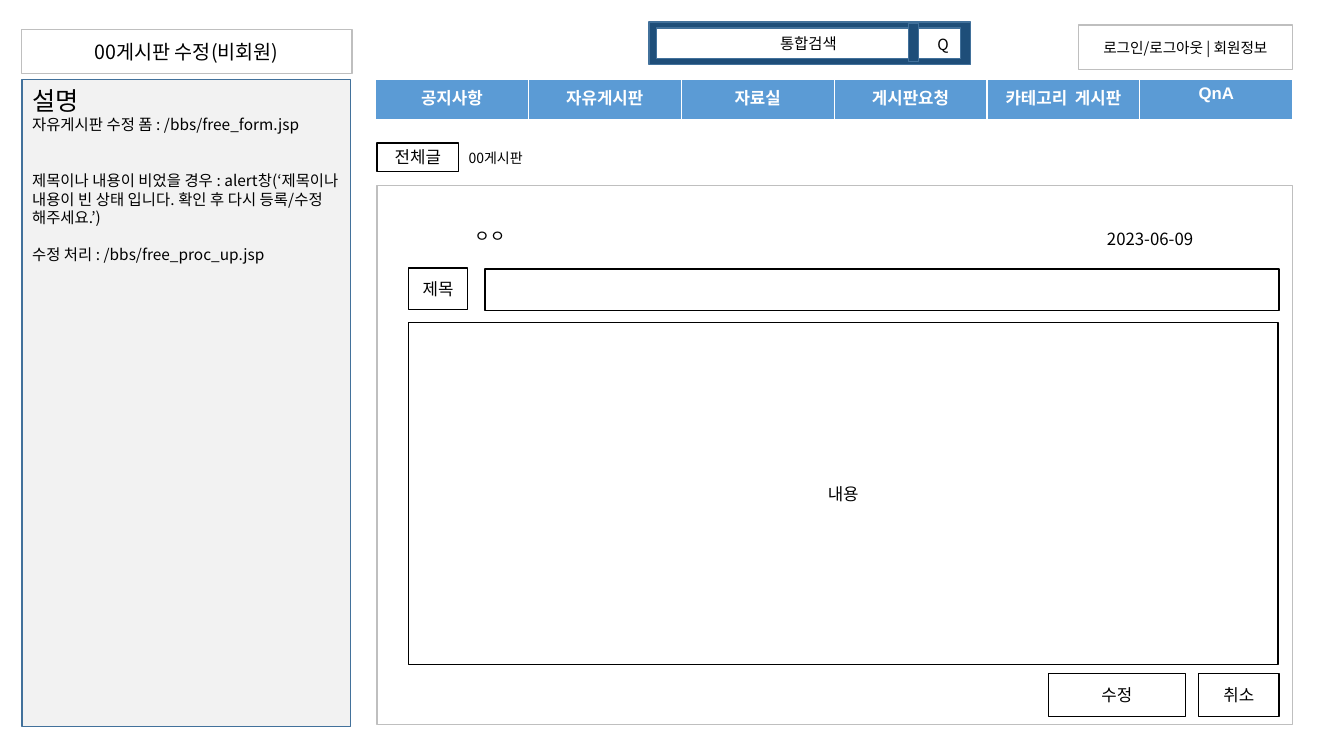
from dataclasses import dataclass
from typing import NamedTuple

from lxml import etree
from pptx import Presentation
from pptx import util as u
from pptx.dml import color
from pptx.enum import shapes, text
from pptx.oxml import ns


@dataclass(frozen=True)
class Theme:
    white: str = "FFFFFF"
    black: str = "000000"
    gray: str = "BFBFBF"
    pale: str = "F2F2F2"
    navy: str = "1E4E79"
    steel: str = "42719B"
    sky: str = "5B9BD5"
    font: str = "Noto Sans CJK KR"
    nav_font: str = "Arial"
    heading: float = 18
    title: float = 14
    body: float = 12
    note: float = 11
    login: float = 10.5
    caption: float = 10
    line_height: float = 1.21


class Area(NamedTuple):
    left: float
    top: float
    width: float
    height: float


@dataclass(frozen=True)
class Box:
    area: Area
    label: str = ""
    size: float = 12
    fill: str | None = "FFFFFF"
    line: str | None = "000000"
    align: text.PP_ALIGN = text.PP_ALIGN.CENTER


class Note(NamedTuple):
    words: str
    size: float
    blank_lines: int = 0


THEME = Theme()
SLIDE_WIDTH = u.Inches(13.33)
SLIDE_HEIGHT = u.Inches(7.5)

TITLE = Box(Area(1.58, 3.87, 24.6, 5.87), "00게시판 수정(비회원)", THEME.title, line=THEME.gray)
NOTES_PANEL = Box(Area(1.65, 10.53, 24.45, 85.6), fill=THEME.pale, line=THEME.steel)
NAVIGATION = Area(27.94, 10.53, 68.25, 5.47)
MENU = ("공지사항", "자유게시판", "자료실", "게시판요청", "카테고리  게시판", "QnA")

NOTES = (
    Note("설명", THEME.heading),
    Note("자유게시판 수정 폼 : /bbs/free_form.jsp", THEME.note),
    Note(
        "제목이나 내용이 비었을 경우 : alert창(‘제목이나 내용이 빈 상태 입니다. "
        "확인 후 다시 등록/수정 해주세요.’)",
        THEME.note,
        2,
    ),
    Note("수정 처리 : /bbs/free_proc_up.jsp", THEME.note, 1),
)

BOXES = (
    Box(Area(80.25, 3.33, 15.9, 5.87), "로그인/로그아웃 | 회원정보", THEME.login, line=THEME.gray),
    Box(Area(48.3, 2.93, 23.92, 5.6), fill=THEME.navy, line=THEME.steel),
    Box(Area(48.83, 3.73, 22.65, 4), "통합검색", THEME.note, line=THEME.steel),
    Box(Area(67.58, 3.07, 0.75, 5.07), fill=THEME.navy, line=THEME.steel),
    Box(Area(68.03, 3.07, 4.3, 5.6), "Q", THEME.note, fill=None, line=None),
    Box(Area(28.05, 24.53, 68.1, 71.33), line=THEME.gray),
    Box(Area(78, 89.07, 10.2, 5.73), "수정"),
    Box(Area(89.18, 89.07, 6, 5.73), "취소"),
    Box(Area(30.38, 35.47, 4.43, 5.47), "제목"),
    Box(Area(36.08, 35.6, 59.1, 5.47)),
    Box(Area(30.38, 42.67, 64.73, 45.2), "내용"),
    Box(Area(28.05, 18.93, 6.08, 3.73), "전체글"),
    Box(Area(30.53, 28.4, 11.85, 5.47), "ㅇㅇ", line=None),
    Box(Area(76.2, 28.8, 18.75, 5.47), "2023-06-09", line=None),
    Box(Area(34.13, 19.07, 8.55, 3.6), "00게시판", THEME.caption, None, None, text.PP_ALIGN.LEFT),
)


def rgb(value: str) -> color.RGBColor:
    return color.RGBColor.from_string(value)


def place(area: Area) -> tuple[int, int, int, int]:
    return (
        int(SLIDE_WIDTH * area.left / 100),
        int(SLIDE_HEIGHT * area.top / 100),
        int(SLIDE_WIDTH * area.width / 100),
        int(SLIDE_HEIGHT * area.height / 100),
    )


def write(paragraph, words: str, *, size: float, align=text.PP_ALIGN.CENTER,
          ink: str = THEME.black, bold: bool = False, font: str = THEME.font) -> None:
    paragraph.alignment = align
    run = paragraph.add_run()
    run.text = words
    run.font.size = u.Pt(size)
    run.font.bold = bold
    run.font.name = font
    run.font.color.rgb = rgb(ink)
    east_asian = etree.SubElement(run.font._element, ns.qn("a:ea"))
    east_asian.set("typeface", THEME.font)


def dress(shape, box: Box) -> None:
    if box.fill:
        shape.fill.solid()
        shape.fill.fore_color.rgb = rgb(box.fill)
    else:
        shape.fill.background()
    if box.line:
        shape.line.color.rgb = rgb(box.line)
        shape.line.width = u.Pt(1)
    else:
        shape.line.fill.background()
    frame = shape.text_frame
    frame.word_wrap = True
    frame.auto_size = text.MSO_AUTO_SIZE.NONE
    frame.vertical_anchor = text.MSO_ANCHOR.MIDDLE
    if box.label:
        write(frame.paragraphs[0], box.label, size=box.size, align=box.align)


def add_box(slide, box: Box):
    shape = slide.shapes.add_shape(shapes.MSO_SHAPE.RECTANGLE, *place(box.area))
    shape.shadow.inherit = False
    dress(shape, box)
    return shape


def set_title(slide) -> None:
    title = slide.shapes.title
    title.left, title.top, title.width, title.height = place(TITLE.area)
    dress(title, TITLE)


def add_notes(slide) -> None:
    frame = add_box(slide, NOTES_PANEL).text_frame
    frame.vertical_anchor = text.MSO_ANCHOR.TOP
    for index, note in enumerate(NOTES):
        paragraph = frame.add_paragraph() if index else frame.paragraphs[0]
        height = note.size * THEME.line_height
        paragraph.line_spacing = u.Pt(height)
        paragraph.space_before = u.Pt(height * note.blank_lines)
        write(paragraph, note.words, size=note.size, align=text.PP_ALIGN.LEFT)


def add_border(cell, side: str, width: float) -> None:
    properties = cell._tc.get_or_add_tcPr()
    border = etree.SubElement(properties, ns.qn(f"a:ln{side}"), w=str(u.Pt(width)))
    fill = etree.SubElement(border, ns.qn("a:solidFill"))
    etree.SubElement(fill, ns.qn("a:srgbClr"), val=THEME.white)


def add_navigation(slide) -> None:
    table = slide.shapes.add_table(1, len(MENU), *place(NAVIGATION)).table
    table.horz_banding = False
    for cell, label in zip(table.rows[0].cells, MENU):
        for side, width in (("L", 1), ("R", 1), ("T", 1), ("B", 3)):
            add_border(cell, side, width)
        cell.fill.solid()
        cell.fill.fore_color.rgb = rgb(THEME.sky)
        write(cell.text_frame.paragraphs[0], label, size=THEME.body,
              ink=THEME.white, bold=True, font=THEME.nav_font)


def main() -> None:
    presentation = Presentation()
    presentation.slide_width = SLIDE_WIDTH
    presentation.slide_height = SLIDE_HEIGHT
    slide = presentation.slides.add_slide(presentation.slide_layouts[5])
    set_title(slide)
    add_notes(slide)
    add_navigation(slide)
    for box in BOXES:
        add_box(slide, box)
    presentation.save("out.pptx")


if __name__ == "__main__":
    main()
